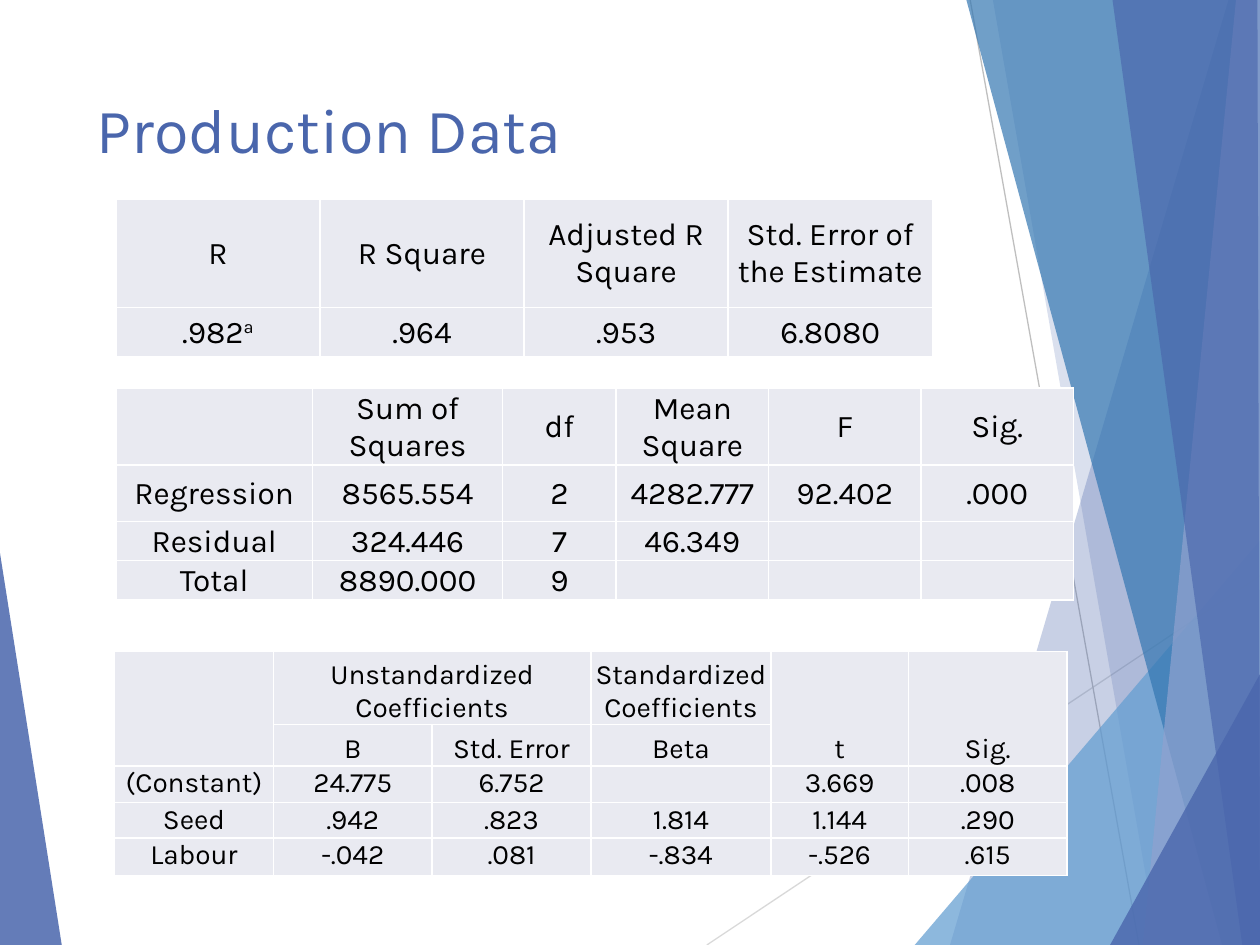
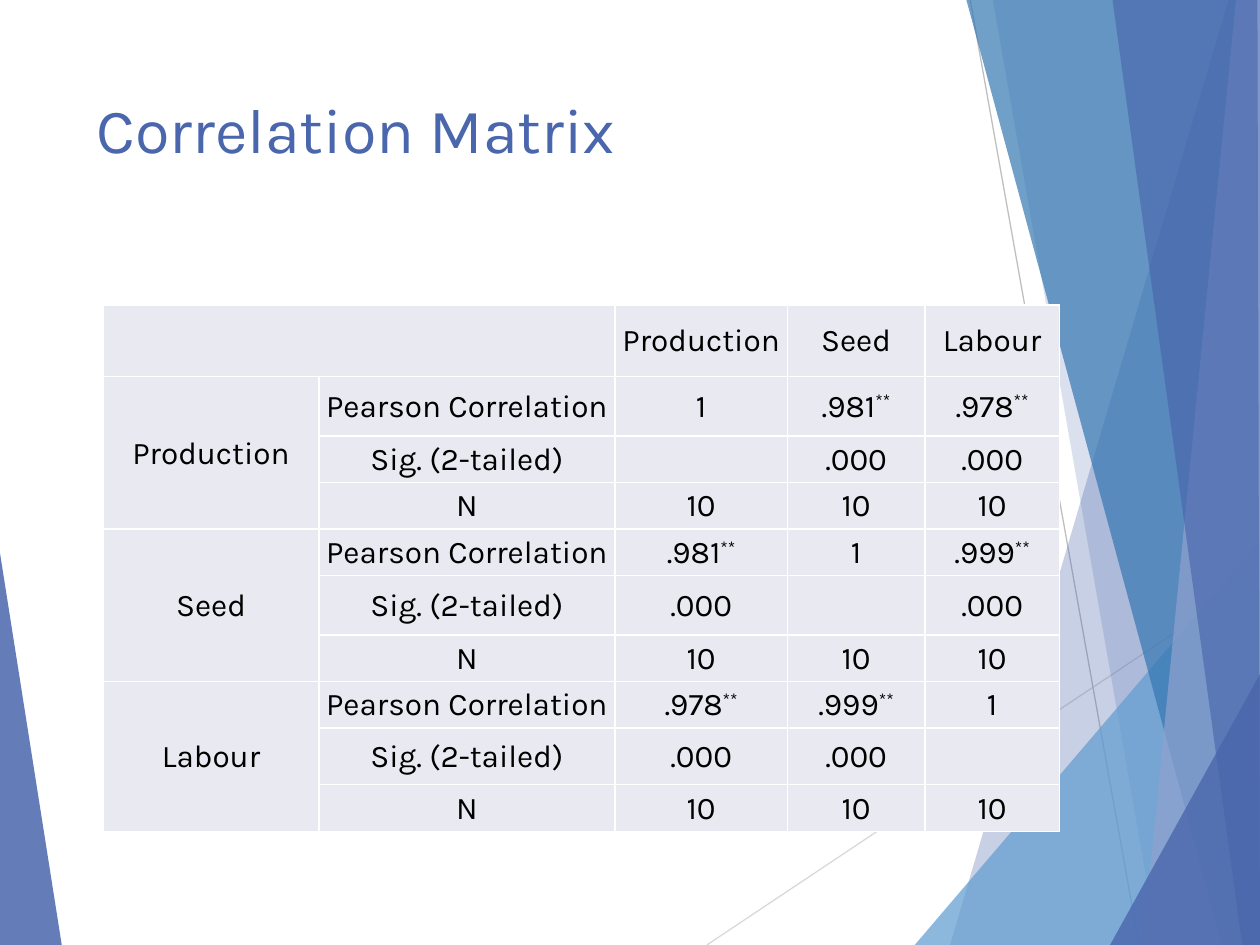
from lxml import etree
from pptx import Presentation
from pptx.dml.color import RGBColor
from pptx.enum.shapes import MSO_CONNECTOR
from pptx.enum.text import MSO_ANCHOR, PP_ALIGN
from pptx.oxml.ns import qn
from pptx.util import Inches, Pt

LINE = MSO_CONNECTOR.STRAIGHT
TOP, MID, LOW = MSO_ANCHOR.TOP, MSO_ANCHOR.MIDDLE, MSO_ANCHOR.BOTTOM
CENTER = PP_ALIGN.CENTER

FONT = "Karla"
HUES = {
    "navy": "4A66AC", "sky": "629DD1", "blue": "3477B2", "mist": "90A2CF",
    "cell": "E9EAF1", "edge": "FFFFFF", "text": "000000",
    "pale": "D9D9D9", "grey": "BFBFBF",
}

# Backdrop: hue, opacity in percent, corners
WEDGE = ("navy", 85, [(0, 4.39), (0.49, 7.5), (0, 7.5)])
RAYS = [
    ("pale", (5.61, 7.5), (10, 4.57)),
    ("grey", (7.7, 0), (9.04, 7.5)),
]
BANDS = [
    ("navy", 30, [(9.75, 0), (7.54, 7.5), (10, 7.5), (10, 0)]),
    ("navy", 20, [(7.88, 0), (9.19, 7.5), (10, 7.5), (10, 0)]),
    ("sky", 72, [(7.26, 7.5), (10, 4.29), (10, 7.5)]),
    ("blue", 70, [(7.67, 0), (9.7, 7.5), (10, 7.5), (10, 0)]),
    ("mist", 70, [(9.81, 0), (9.07, 7.5), (10, 7.5), (10, 0)]),
    ("navy", 65, [(8.83, 0), (9.86, 7.5), (10, 7.5), (9.98, 0)]),
    ("navy", 80, [(8.81, 7.5), (10, 5.35), (10, 7.5)]),
]

# Tables: "^" starts a superscript; a merge is row, column, last row, last column
MODEL = {
    "at": (0.92, 1.58), "size": 18,
    "cols": [1.62] * 4, "rows": [0.86, 0.39], "anchors": [MID] * 2,
    "merges": [],
    "cells": [
        ["R", "R Square", "Adjusted R Square", "Std. Error of the Estimate"],
        [".982^a", ".964", ".953", "6.8080"],
    ],
}
ANOVA = {
    "at": (0.92, 3.08), "size": 18,
    "cols": [1.56, 1.51, 0.9, 1.21, 1.21, 1.21],
    "rows": [0.5, 0.45, 0.28, 0.27], "anchors": [MID] * 4,
    "merges": [],
    "cells": [
        ["", "Sum of Squares", "df", "Mean Square", "F", "Sig."],
        ["Regression", "8565.554", "2", "4282.777", "92.402", ".000"],
        ["Residual", "324.446", "7", "46.349", "", ""],
        ["Total", "8890.000", "9", "", "", ""],
    ],
}
COEFFS = {
    "at": (0.91, 5.17), "size": 16,
    "cols": [1.26, 1.26, 1.26, 1.43, 1.09, 1.26],
    "rows": [0.58, 0.33, 0.29, 0.28, 0.3],
    "anchors": [LOW] * 2 + [TOP] * 3,
    "merges": [(0, 0, 1, 0), (0, 1, 0, 2), (0, 4, 1, 4), (0, 5, 1, 5)],
    "cells": [
        ["", "Unstandardized Coefficients", "", "Standardized Coefficients",
         "t", "Sig."],
        ["", "B", "Std. Error", "Beta", "", ""],
        ["(Constant)", "24.775", "6.752", "", "3.669", ".008"],
        ["Seed", ".942", ".823", "1.814", "1.144", ".290"],
        ["Labour", "-.042", ".081", "-.834", "-.526", ".615"],
    ],
}
NAMES = ["Production", "Seed", "Labour"]
PEARSON = [
    ["1", ".981^**", ".978^**"],
    [".981^**", "1", ".999^**"],
    [".978^**", ".999^**", "1"],
]


def matrix_rows():
    """Three rows for each variable, under one header row."""
    rows = [["", ""] + NAMES]
    for i, name in enumerate(NAMES):
        sigs = ["" if i == j else ".000" for j in range(len(NAMES))]
        rows += [
            [name, "Pearson Correlation"] + PEARSON[i],
            ["", "Sig. (2-tailed)"] + sigs,
            ["", "N"] + ["10"] * len(NAMES),
        ]
    return rows


MATRIX = {
    "at": (0.82, 2.42), "size": 18,
    "cols": [1.71, 2.35, 1.37, 1.09, 1.07],
    "rows": [0.57, 0.47, 0.37, 0.37, 0.37, 0.47, 0.37, 0.37, 0.45, 0.37],
    "anchors": [MID] * 10,
    "merges": [(0, 0, 0, 1)] + [(r, 0, r + 2, 0) for r in (1, 4, 7)],
    "cells": matrix_rows(),
}
SLIDES = [
    ("Production Data", [MODEL, ANOVA, COEFFS]),
    ("Correlation Matrix", [MATRIX]),
]


def color(hue):
    return RGBColor.from_string(HUES[hue])


def add_run(para, text, size, hue):
    run = para.add_run()
    run.text = text
    for key, value in {"name": FONT, "size": Pt(size)}.items():
        setattr(run.font, key, value)
    run.font.color.rgb = color(hue)
    return run


def add_band(slide, hue, alpha, corners):
    points = [(Inches(x), Inches(y)) for x, y in corners]
    build = slide.shapes.build_freeform(*points[0])
    build.add_line_segments(points[1:], close=True)
    shape = build.convert_to_shape()
    shape.shadow.inherit = False
    shape.fill.solid()
    shape.fill.fore_color.rgb = color(hue)
    shape.line.fill.background()
    tint = next(shape.element.spPr.iter(qn("a:srgbClr")))
    etree.SubElement(tint, qn("a:alpha"), val=str(alpha * 1000))


def add_ray(slide, hue, start, end):
    ends = [Inches(v) for v in start + end]
    ray = slide.shapes.add_connector(LINE, *ends)
    ray.line.color.rgb = color(hue)
    ray.line.width = Pt(0.75)
    etree.SubElement(ray.element.spPr, qn("a:effectLst"))


def add_title(slide, text):
    box = slide.shapes.add_textbox(*map(Inches, (0.67, 0.67, 6.94, 1.44)))
    frame = box.text_frame
    frame.word_wrap = True
    frame.vertical_anchor = TOP
    add_run(frame.paragraphs[0], text, 36, "navy")


def add_edges(cell):
    props = cell._tc.get_or_add_tcPr()
    for i, side in enumerate(("lnL", "lnR", "lnT", "lnB")):
        edge = etree.Element(qn("a:" + side), w=str(Pt(1)))
        fill = etree.SubElement(edge, qn("a:solidFill"))
        etree.SubElement(fill, qn("a:srgbClr"), val=HUES["edge"])
        props.insert(i, edge)


def fill_cell(cell, text, size, anchor):
    look = {
        "margin_left": Inches(0.01), "margin_right": Inches(0.01),
        "margin_top": Inches(0.01), "margin_bottom": 0,
        "vertical_anchor": anchor,
    }
    for key, value in look.items():
        setattr(cell, key, value)
    cell.fill.solid()
    cell.fill.fore_color.rgb = color("cell")
    add_edges(cell)
    para = cell.text_frame.paragraphs[0]
    para.alignment = CENTER
    base, _, raised = text.partition("^")
    if base:
        add_run(para, base, size, "text")
    else:
        # An empty cell still needs a text size to keep its row low
        etree.SubElement(para._p, qn("a:endParaRPr"), sz=str(size * 100))
    if raised:
        run = add_run(para, raised, size, "text")
        run._r.get_or_add_rPr().set("baseline", "30000")


def add_grid(slide, data):
    cols, rows = data["cols"], data["rows"]
    area = map(Inches, (*data["at"], sum(cols), sum(rows)))
    table = slide.shapes.add_table(len(rows), len(cols), *area).table
    table.first_row = table.horz_banding = False
    for col, width in zip(table.columns, cols):
        col.width = Inches(width)
    for row, height in zip(table.rows, rows):
        row.height = Inches(height)
    for r, line in enumerate(data["cells"]):
        for c, text in enumerate(line):
            fill_cell(table.cell(r, c), text, data["size"], data["anchors"][r])
    for r, c, last_r, last_c in data["merges"]:
        table.cell(r, c).merge(table.cell(last_r, last_c))


def main():
    deck = Presentation()
    deck.slide_width, deck.slide_height = Inches(10), Inches(7.5)
    for title, grids in SLIDES:
        slide = deck.slides.add_slide(deck.slide_layouts[6])
        # Backdrop
        add_band(slide, *WEDGE)
        for ray in RAYS:
            add_ray(slide, *ray)
        for band in BANDS:
            add_band(slide, *band)
        # Content
        add_title(slide, title)
        for grid in grids:
            add_grid(slide, grid)
    deck.save("out.pptx")


if __name__ == "__main__":
    main()
